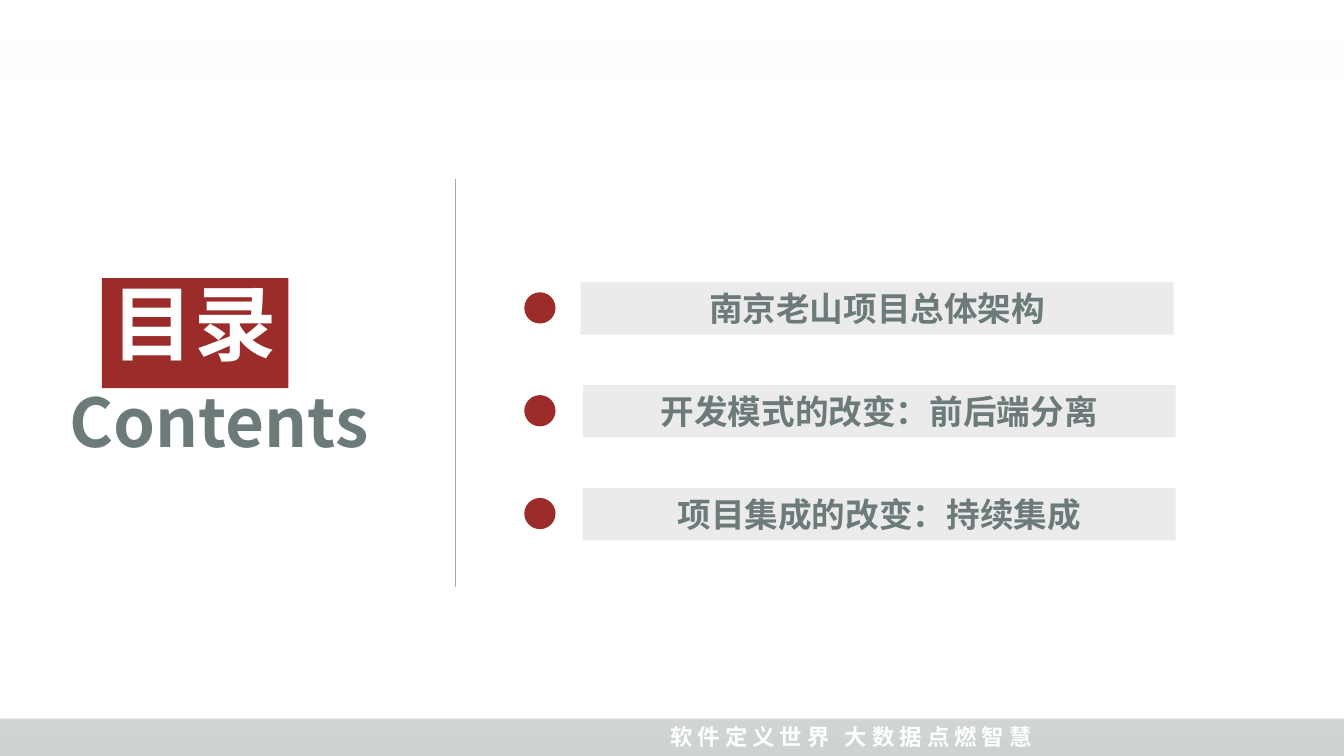
from dataclasses import dataclass

import pptx
import pptx.dml.color
import pptx.enum.shapes
import pptx.enum.text
import pptx.oxml
import pptx.oxml.ns
import pptx.util
from pptx.util import Inches

Align = pptx.enum.text.PP_ALIGN
Anchor = pptx.enum.text.MSO_ANCHOR
Preset = pptx.enum.shapes.MSO_SHAPE
qn = pptx.oxml.ns.qn


@dataclass(frozen=True)
class Theme:
    font: str = "Noto Sans CJK SC"
    white: str = "FFFFFF"
    red: str = "9B2C29"
    slate: str = "6C7A7A"
    bar: str = "D9D9D9"
    divider: str = "A6A6A6"
    background: tuple = ((0, "FFFFFF"), (72, "E5E8E8"), (100, "CDD2D2"))
    title_size: float = 58.7
    subtitle_size: float = 48
    item_size: float = 24
    footer_size: float = 16


@dataclass(frozen=True)
class Box:
    left: float
    top: float
    width: float
    height: float

    def lengths(self) -> tuple:
        return tuple(map(Inches, (self.left, self.top, self.width, self.height)))


@dataclass(frozen=True)
class Item:
    text: str
    bar_left: float


THEME = Theme()
ITEMS = (
    Item("南京老山项目总体架构", 5.76),
    Item("开发模式的改变：前后端分离", 5.78),
    Item("项目集成的改变：持续集成", 5.78),
)
FIRST_ITEM_TOP = 2.8
ITEM_STEP = 1.02


def rgb(color: str) -> pptx.dml.color.RGBColor:
    return pptx.dml.color.RGBColor.from_string(color)


def paint_background(slide) -> None:
    slide.background.fill.gradient()
    gradient = slide.element.find(".//" + qn("a:gradFill"))
    stops = gradient.find(qn("a:gsLst"))
    for stop in list(stops):
        stops.remove(stop)
    for position, color in THEME.background:
        stop = stops.makeelement(qn("a:gs"), {"pos": str(position * 1000)})
        stop.append(stop.makeelement(qn("a:srgbClr"), {"val": color}))
        stops.append(stop)
    gradient.find(qn("a:lin")).set("ang", "5400000")


def add_filled(slide, preset, box: Box, color: str, opacity: int = 100):
    shape = slide.shapes.add_shape(preset, *box.lengths())
    shape.shadow.inherit = False
    shape.line.fill.background()
    shape.fill.solid()
    shape.fill.fore_color.rgb = rgb(color)
    if opacity < 100:
        value = shape.element.spPr.find(".//" + qn("a:srgbClr"))
        value.append(value.makeelement(qn("a:alpha"), {"val": str(opacity * 1000)}))
    return shape


def add_run(paragraph, text: str, size: float, color: str, spacing: float = 0) -> None:
    run = paragraph.add_run()
    run.text = text
    run.font.name = THEME.font
    run.font.size = pptx.util.Pt(size)
    run.font.bold = True
    run.font.color.rgb = rgb(color)
    properties = run.font._element
    east_asian = properties.makeelement(qn("a:ea"), {"typeface": THEME.font})
    properties.find(qn("a:latin")).addnext(east_asian)
    if spacing:
        properties.set("spc", str(round(spacing * 100)))


def start_text(shape, align=Align.LEFT, anchor=Anchor.TOP, wrap: bool = False):
    frame = shape.text_frame
    frame.word_wrap = wrap
    frame.auto_size = pptx.enum.text.MSO_AUTO_SIZE.NONE
    frame.vertical_anchor = anchor
    paragraph = frame.paragraphs[0]
    paragraph.alignment = align
    return paragraph


def add_footer(slide) -> None:
    shape = slide.shapes.add_textbox(*Box(6.55, 7.12, 5.64, 0.37).lengths())
    paragraph = start_text(shape, wrap=True)
    for text, spacing in (("软 件 定 义 世 界", 0), (" ", 7.2), ("大 数 据 点 燃 智 慧", 0)):
        add_run(paragraph, text, THEME.footer_size, THEME.white, spacing)


def add_heading(slide) -> None:
    subtitle = slide.shapes.add_textbox(*Box(0.59, 3.81, 3.25, 0.91).lengths())
    paragraph = start_text(subtitle)
    paragraph.line_spacing = 0.9
    add_run(paragraph, "Contents", THEME.subtitle_size, THEME.slate)

    title = slide.shapes.title
    title.left, title.top, title.width, title.height = Box(1.01, 2.76, 1.85, 1.09).lengths()
    title.fill.solid()
    title.fill.fore_color.rgb = rgb(THEME.red)
    paragraph = start_text(title)
    paragraph.line_spacing = 0.9
    add_run(paragraph, "目录", THEME.title_size, THEME.white)
    subtitle.element.addnext(title.element)


def add_divider(slide) -> None:
    line = slide.shapes.add_connector(
        pptx.enum.shapes.MSO_CONNECTOR.STRAIGHT,
        Inches(4.52), Inches(1.78), Inches(4.52), Inches(5.82),
    )
    line.line.color.rgb = rgb(THEME.divider)
    line.line.width = pptx.util.Pt(0.5)
    properties = line.element.spPr
    properties.append(properties.makeelement(qn("a:effectLst"), {}))


def add_item(slide, item: Item, top: float) -> None:
    add_filled(slide, Preset.OVAL, Box(5.2, top + 0.1, 0.31, 0.31), THEME.red)
    bar = add_filled(slide, Preset.RECTANGLE, Box(item.bar_left, top, 5.88, 0.52), THEME.bar, 50)
    paragraph = start_text(bar, Align.CENTER, Anchor.MIDDLE, True)
    add_run(paragraph, item.text, THEME.item_size, THEME.slate)


def main() -> None:
    presentation = pptx.Presentation()
    presentation.slide_width = Inches(13.33)
    presentation.slide_height = Inches(7.5)
    slide = presentation.slides.add_slide(presentation.slide_layouts[5])
    paint_background(slide)
    add_footer(slide)
    add_filled(slide, Preset.RECTANGLE, Box(0, 0.79, 13.33, 6.34), THEME.white)
    add_filled(slide, Preset.RECTANGLE, Box(0, 0.8, 3.94, 6.31), THEME.white, 50)
    add_heading(slide)
    add_divider(slide)
    for index, item in enumerate(ITEMS):
        add_item(slide, item, FIRST_ITEM_TOP + index * ITEM_STEP)
    presentation.save("out.pptx")


if __name__ == "__main__":
    main()
